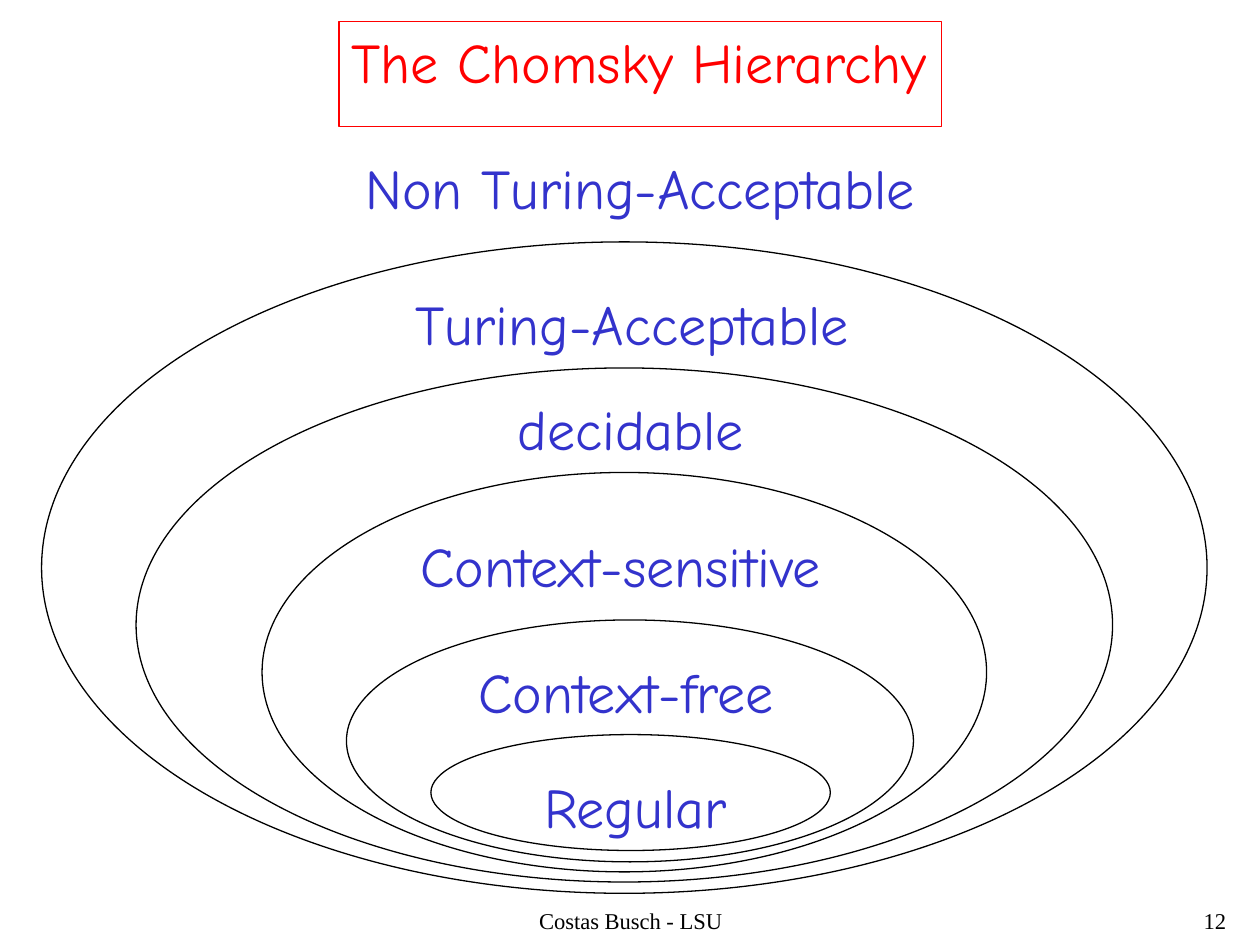
from pptx import Presentation
from pptx.dml.color import RGBColor
from pptx.enum.shapes import MSO_SHAPE
from pptx.enum.text import MSO_ANCHOR, MSO_AUTO_SIZE, PP_ALIGN
from pptx.util import Inches, Pt

BLACK = RGBColor(0x00, 0x00, 0x00)
RED = RGBColor(0xFF, 0x00, 0x00)
BLUE = RGBColor(0x33, 0x33, 0xCC)
OVAL = MSO_SHAPE.OVAL
TOP = MSO_ANCHOR.TOP
NO_FIT = MSO_AUTO_SIZE.NONE
FIT_SHAPE = MSO_AUTO_SIZE.SHAPE_TO_FIT_TEXT
LEFT, CENTER, RIGHT = PP_ALIGN.LEFT, PP_ALIGN.CENTER, PP_ALIGN.RIGHT
TITLE_ONLY = 5

LABEL_HEIGHT = 0.64
FOOTER_TOP, FOOTER_HEIGHT = 7.17, 0.33

CLASSES = [
    ("Turing-Acceptable", (3.2, 2.25, 3.66), (0.33, 1.92, 9.25, 5.17)),
    ("decidable", (4.01, 3.08, 2), (1.08, 2.92, 7.75, 4.08)),
    ("Context-sensitive", (3.24, 4.17, 3.4), (2.08, 3.75, 5.75, 3.17)),
    ("Context-free", (3.7, 5.17, 2.57), (2.75, 4.92, 4.5, 1.92)),
    ("Regular", (4.22, 6.08, 1.65), (3.42, 5.83, 3.17, 0.92)),
]


class HierarchySlide:
    label_font = {"name": "Comic Neue", "size": Pt(32)}
    footer_font = {"name": "Times New Roman", "size": Pt(12.9)}
    label_frame = {"word_wrap": False, "auto_size": FIT_SHAPE, "vertical_anchor": TOP}
    footer_frame = {"word_wrap": True, "auto_size": NO_FIT, "vertical_anchor": TOP}

    def __init__(self, page):
        self.page = page

    def apply(self, target, values):
        for name, value in values.items():
            setattr(target, name, value)

    def outline(self, shape, color):
        shape.line.color.rgb = color
        shape.line.width = Pt(0.75)

    def fill_text(self, box, text, frame, font, color, paragraph):
        self.apply(box.text_frame, frame)
        para = box.text_frame.paragraphs[0]
        self.apply(para, paragraph)
        span = para.add_run()
        span.text = text
        self.apply(span.font, font)
        span.font.color.rgb = color

    def title(self, text, left, top, width):
        box = self.page.shapes.title
        place = {"left": left, "top": top, "width": width, "height": LABEL_HEIGHT}
        self.apply(box, {name: Inches(value) for name, value in place.items()})
        self.fill_text(box, text, self.label_frame, self.label_font, RED, {"alignment": LEFT})
        self.outline(box, RED)

    def ellipse(self, *place):
        shape = self.page.shapes.add_shape(OVAL, *map(Inches, place))
        shape.shadow.inherit = False
        shape.fill.background()
        self.outline(shape, BLACK)

    def label(self, text, left, top, width):
        place = map(Inches, (left, top, width, LABEL_HEIGHT))
        box = self.page.shapes.add_textbox(*place)
        self.fill_text(box, text, self.label_frame, self.label_font, BLUE, {"alignment": LEFT})

    def footer(self, text, left, width, alignment):
        place = map(Inches, (left, FOOTER_TOP, width, FOOTER_HEIGHT))
        box = self.page.shapes.add_textbox(*place)
        paragraph = {"alignment": alignment, "line_spacing": 0.9}
        self.fill_text(box, text, self.footer_frame, self.footer_font, BLACK, paragraph)


def main():
    deck = Presentation()
    deck.slide_width, deck.slide_height = Inches(10), Inches(7.5)
    slide = HierarchySlide(deck.slides.add_slide(deck.slide_layouts[TITLE_ONLY]))

    slide.title("The Chomsky Hierarchy", 2.69, 0.17, 4.78)
    slide.footer("Costas Busch - LSU", 3.42, 3.17, CENTER)
    slide.footer("12", 7.75, 2.08, RIGHT)
    slide.label("Non Turing-Acceptable", 2.8, 1.17, 4.58)
    for name, label_place, ellipse_place in CLASSES:
        slide.ellipse(*ellipse_place)
        slide.label(name, *label_place)

    deck.save("out.pptx")


if __name__ == "__main__":
    main()
